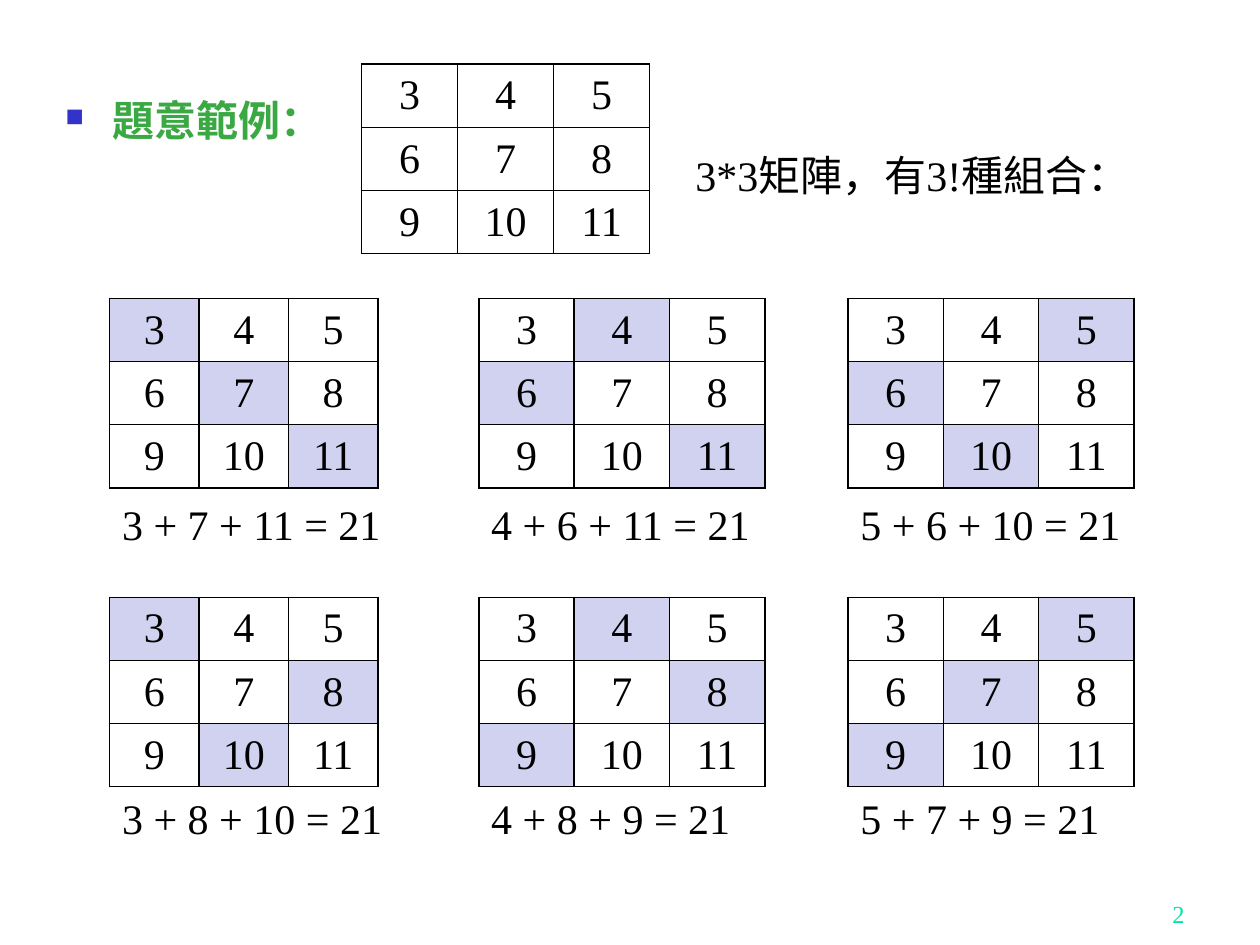
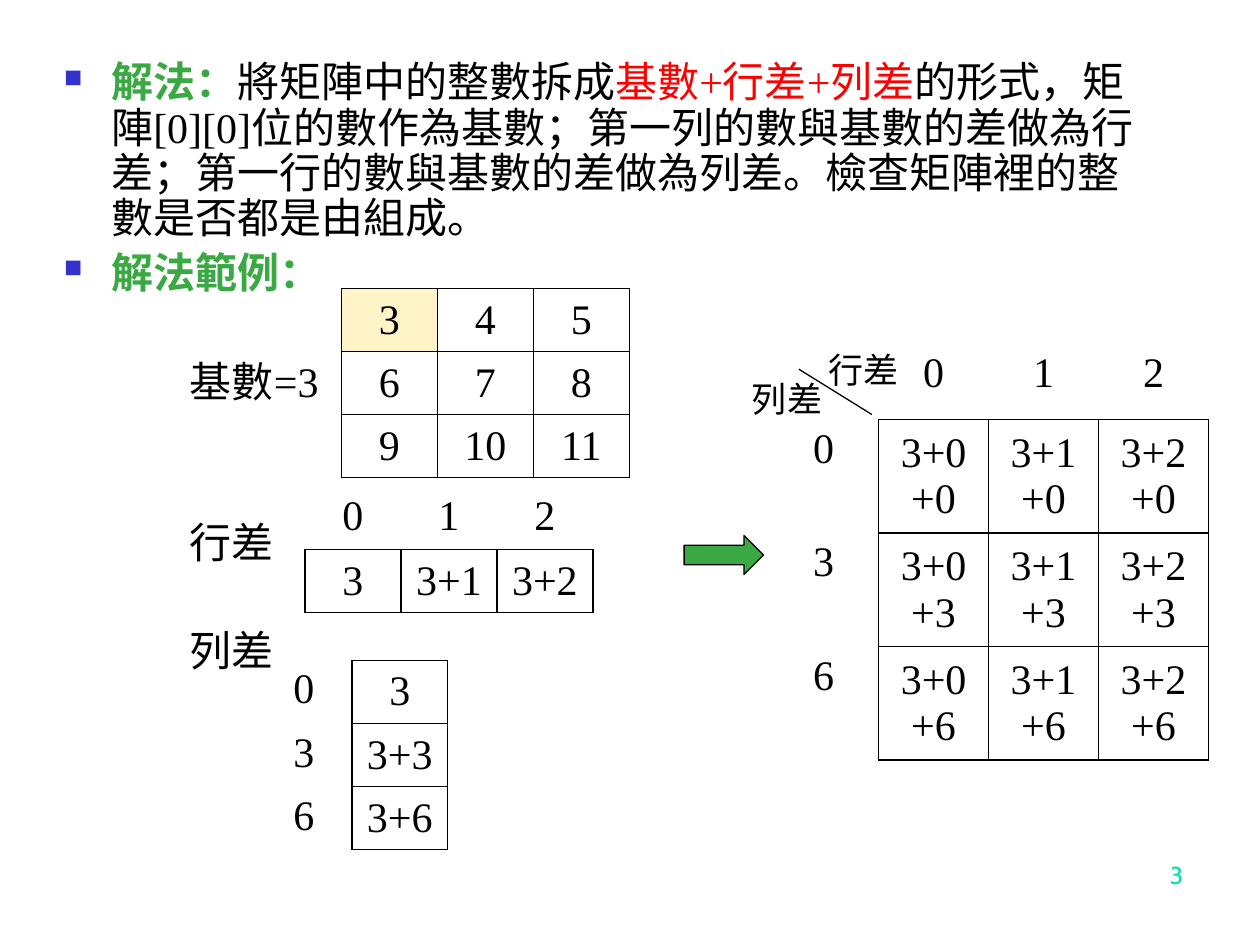
import itertools

import pptx
import pptx.dml.color
import pptx.enum.shapes
import pptx.enum.text
import pptx.oxml
import pptx.oxml.ns
import pptx.util

# Shared look
SERIF, SANS, ROUND = "Times New Roman", "Noto Sans CJK SC", "Cabin"
BLACK, GREEN, RED = "000000", "3BA943", "FF0000"
BLUE, LILAC, CREAM, MINT = "3333CC", "D1D1F0", "FFF4C8", "00E4A8"
PLAIN = "{2D5ABB26-0587-4C30-8999-92F81FD0307C}"  # table style without grid
ALIGN = pptx.enum.text.PP_ALIGN
ANCHOR = pptx.enum.text.MSO_ANCHOR
SHAPE = pptx.enum.shapes.MSO_SHAPE
NS = pptx.oxml.ns.nsdecls("a")

# Slide grid: 100 columns by 75 rows; boxes are (left, top, width, height)
WIDE, HIGH = pptx.util.Inches(10), pptx.util.Inches(7.5)
COLS, ROWS = 100, 75
SIDE, LINE = 7.62, 4.68  # usual cell of a table

MATRIX = [[3, 4, 5], [6, 7, 8], [9, 10, 11]]
STEPS = [0, 1, 2]  # differences along a row
DROPS = [0, 3, 6]  # differences down a column


def across(cols):
    return round(WIDE * cols / COLS)


def down(rows):
    return round(HIGH * rows / ROWS)


def place(box):
    left, top, wide, high = box
    return across(left), down(top), across(wide), down(high)


def color(code):
    return pptx.dml.color.RGBColor.from_string(code)


def add_xml(parent, tag, inner="", attrs=""):
    parent.append(pptx.oxml.parse_xml(f"<a:{tag} {NS} {attrs}>{inner}</a:{tag}>"))


def paint(code):
    return f'<a:solidFill><a:srgbClr val="{code}"/></a:solidFill>'


def write(frame, paras, size=24, font=SERIF, ink=BLACK, bold=False,
          align=ALIGN.LEFT, bullet=False):
    """Fill a frame; a paragraph is a string or a list of (text, ink, bold)."""
    for i, parts in enumerate([paras] if isinstance(paras, str) else paras):
        para = frame.add_paragraph() if i else frame.paragraphs[0]
        para.alignment = align
        if bullet:
            props = para._p.get_or_add_pPr()
            props.set("marL", str(across(3.75)))
            props.set("indent", str(-across(3.75)))
            add_xml(props, "buClr", f'<a:srgbClr val="{BLUE}"/>')
            add_xml(props, "buSzPct", attrs='val="60000"')
            add_xml(props, "buChar", attrs='char="■"')
            para.line_spacing = 0.9
            if i:
                para.space_before = pptx.util.Pt(5)
        for part in [(parts, ink, bold)] if isinstance(parts, str) else parts:
            run = para.add_run()
            run.text = part[0]
            run.font.size, run.font.name = pptx.util.Pt(size), font
            run.font.color.rgb, run.font.bold = color(part[1]), part[2]


def label(slide, box, paras, anchor=ANCHOR.TOP, wrap=True, **style):
    frame = slide.shapes.add_textbox(*place(box)).text_frame
    frame.word_wrap = wrap
    frame.vertical_anchor = anchor
    write(frame, paras, **style)


def number(slide, box, digit, font):
    label(slide, box, digit, anchor=ANCHOR.BOTTOM, align=ALIGN.RIGHT,
          size=14, font=font, ink=MINT)


def edge(cell, sides):
    props = cell._tc.get_or_add_tcPr()
    for side in "LRTB":
        fill = paint(BLACK) if side in sides else "<a:noFill/>"
        add_xml(props, "ln" + side, fill, 'w="12700"')


def grid(slide, spot, data, wide=SIDE, highs=None, head=0, stub=0,
         marks=(), shade=LILAC):
    """Table at spot; head rows and stub columns stand outside the ruled part."""
    highs = highs or [LINE] * len(data)
    box = (*spot, wide * len(data[0]), sum(highs))
    table = slide.shapes.add_table(len(data), len(data[0]), *place(box)).table
    table.first_row = table.horz_banding = False
    table._tbl.tblPr.find(pptx.oxml.ns.qn("a:tableStyleId")).text = PLAIN
    for col in table.columns:
        col.width = across(wide)
    for r, values in enumerate(data):
        table.rows[r].height = down(highs[r])
        for c, value in enumerate(values):
            cell = table.cell(r, c)
            ruled = r >= head and c >= stub
            edge(cell, "LRTB" if ruled else "B" if c >= stub
                 else "R" if r >= head else "")
            if (r, c) in marks:
                cell.fill.solid()
                cell.fill.fore_color.rgb = color(shade)
            else:
                cell.fill.background()
            cell.vertical_anchor = ANCHOR.MIDDLE if ruled else ANCHOR.TOP
            if value != "":
                write(cell.text_frame, str(value), align=ALIGN.CENTER)


def choice(slide, spot, gap, picks, wide):
    """One way to pick a cell from each row, with its sum below."""
    left, top = spot
    grid(slide, spot, MATRIX, wide, marks=list(enumerate(picks)))
    terms = [MATRIX[r][c] for r, c in enumerate(picks)]
    total = " + ".join(map(str, terms)) + f" = {sum(terms)}"
    label(slide, (left, top + gap, 22.8, 5), total, wrap=False)


def example(slide):
    number(slide, (74.2, 69.2, 20.8, 5), "2", SERIF)
    label(slide, (4.2, 7.5, 24, 6), "題意範例：", ink=GREEN, bold=True, bullet=True)
    grid(slide, (28.7, 5.1), MATRIX)
    label(slide, (54.2, 11.4, 42, 5), "3*3矩陣，有3!種組合：", anchor=ANCHOR.MIDDLE)

    # All six choices, two for each starting column
    bands = [(23.7, 15.4), (47.4, 15)]
    for i, picks in enumerate(itertools.permutations(range(3))):
        col, row = divmod(i, 2)
        top, gap = bands[row]
        choice(slide, (8.7 + 29.3 * col, top), gap, picks,
               7.57 if col else 7.1)


def sums(slide, left, top):
    """Sum table with its split corner; left and top are its corner."""
    rows = [["", *STEPS]]
    rows += [[drop] + [f"3+{step}+{drop}" for step in STEPS] for drop in DROPS]
    grid(slide, (left, top), rows, 8.73, [6] + [8.36] * 3, head=1, stub=1)
    line = slide.shapes.add_connector(
        pptx.enum.shapes.MSO_CONNECTOR.STRAIGHT, across(left + 2.4), down(top + 2),
        across(left + 8.2), down(top + 5.6))
    line.line.color.rgb, line.line.width = color(BLACK), pptx.util.Pt(0.75)
    add_xml(line._element.spPr, "effectLst")
    for name, x, y in [("行差", 3.8, -0.1), ("列差", -2.3, 2.2)]:
        label(slide, (left + x, top + y, 13.7, 4.4), name, size=20, font=SANS)


def arrow(slide, box):
    shape = slide.shapes.add_shape(SHAPE.RIGHT_ARROW, *place(box))
    shape.shadow.inherit = False
    shape.fill.solid()
    shape.fill.fore_color.rgb = color(GREEN)
    shape.line.color.rgb, shape.line.width = color(BLACK), pptx.util.Pt(0.75)


def method(slide):
    number(slide, (74.1, 66.1, 20.8, 5), "3", ROUND)
    label(slide, (4.1, 4.4, 88.3, 20), [
        [("解法：", GREEN, True),
         ("將矩陣中的整數拆成", BLACK, False),
         ("基數+行差+列差", RED, False),
         ("的形式，矩陣[0][0]位的數作為基數；第一列的數與基數的差做為行差；"
          "第一行的數與基數的差做為列差。檢查矩陣裡的整數是否都是由組成。",
          BLACK, False)],
        [("解法範例：", GREEN, True)]], bullet=True)

    # Base, row differences, column differences
    for name, top in [("基數=3", 27.7), ("行差", 40.5), ("列差", 49.1)]:
        label(slide, (14.1, top, 13, 5), name, anchor=ANCHOR.MIDDLE, wrap=False)
    grid(slide, (27.1, 22.9), MATRIX, marks=[(0, 0)], shade=CREAM)
    terms = [f"3+{n}" if n else "3" for n in STEPS]
    grid(slide, (24.2, 38.6), [STEPS, terms], head=1)
    pairs = [[n, f"3+{n}" if n else "3"] for n in DROPS]
    grid(slide, (20.3, 52.4), pairs, stub=1)

    # Result
    arrow(slide, (54.3, 42.5, 6.3, 3.1))
    sums(slide, 61, 27.3)


def main():
    deck = pptx.Presentation()
    deck.slide_width, deck.slide_height = WIDE, HIGH
    for build in (example, method):
        build(deck.slides.add_slide(deck.slide_layouts[6]))
    deck.save("out.pptx")


if __name__ == "__main__":
    main()
